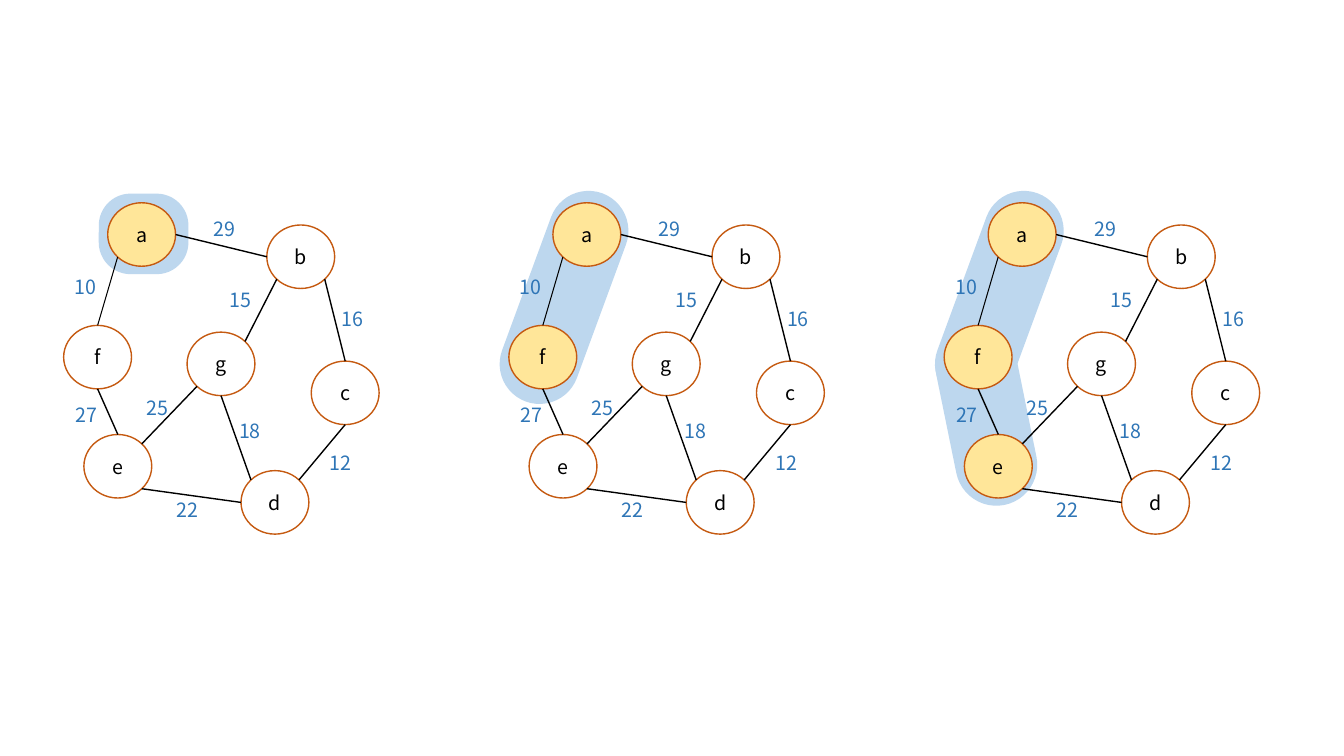
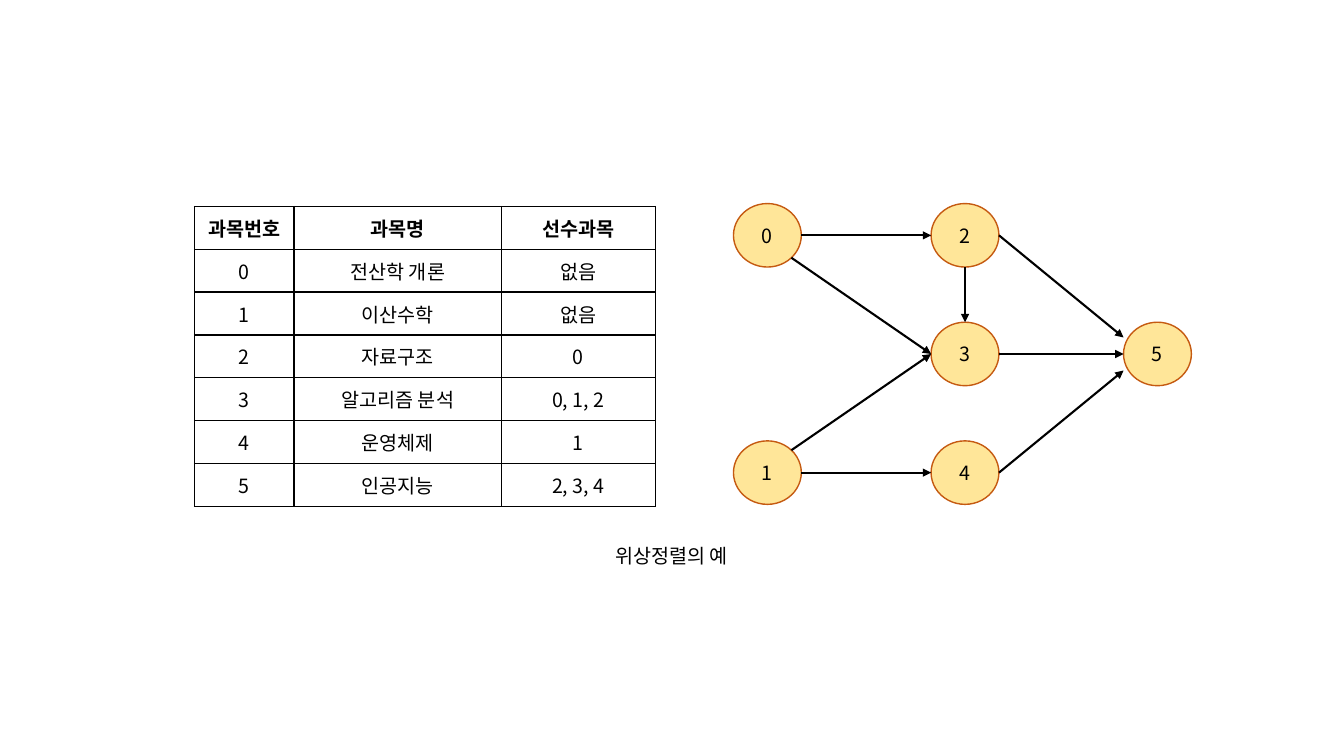
"""Build two slides on graphs: growing a spanning tree and topological sorting."""
from dataclasses import dataclass
from math import sqrt

from lxml import etree
from pptx import Presentation
from pptx.dml.color import RGBColor
from pptx.enum import shapes, text
from pptx.oxml import ns
from pptx.util import Cm, Pt


@dataclass(frozen=True)
class Theme:
    font: str = "Noto Sans CJK KR"
    size: Pt = Pt(14)
    ink: RGBColor = RGBColor(0x00, 0x00, 0x00)
    weight: RGBColor = RGBColor(0x2E, 0x75, 0xB6)
    ring: RGBColor = RGBColor(0xC5, 0x5A, 0x11)
    visited: RGBColor = RGBColor(0xFF, 0xE6, 0x99)
    region: RGBColor = RGBColor(0xBD, 0xD7, 0xEE)
    thin: Pt = Pt(0.75)
    line: Pt = Pt(1)
    arrow: Pt = Pt(1.5)


T = Theme()


def write(tf, content, color=T.ink, bold=False):
    p = tf.paragraphs[0]
    p.alignment = text.PP_ALIGN.CENTER
    r = p.add_run()
    r.text = content
    for name, value in {"name": T.font, "size": T.size, "bold": bold}.items():
        setattr(r.font, name, value)
    r.font.color.rgb = color
    etree.SubElement(r._r.get_or_add_rPr(), ns.qn("a:ea"), typeface=T.font)


def text_box(s, content, x, y, w, h, color=T.ink):
    tf = s.shapes.add_textbox(Cm(x), Cm(y), Cm(w), Cm(h)).text_frame
    tf.word_wrap = True
    tf.auto_size = text.MSO_AUTO_SIZE.SHAPE_TO_FIT_TEXT
    write(tf, content, color)


prs = Presentation()
prs.slide_width, prs.slide_height = Cm(33.87), Cm(19.05)
tree_slide, sort_slide = [prs.slides.add_slide(prs.slide_layouts[6]) for _ in range(2)]

NODE_W, NODE_H = 1.71, 1.6
LABEL_W, LABEL_H = 1.37, 0.86
DIAG = sqrt(0.5)
SITES = {
    "N": (0, -1), "S": (0, 1), "W": (-1, 0), "E": (1, 0),
    "NW": (-DIAG, -DIAG), "NE": (DIAG, -DIAG),
    "SW": (-DIAG, DIAG), "SE": (DIAG, DIAG),
    "W above": (-1, -0.52), "W below": (-1, 0.52),
}

tree_nodes = {
    "a": (3.57, 5.91), "b": (7.58, 6.47), "c": (8.7, 9.9), "d": (6.93, 12.66),
    "e": (2.97, 11.75), "f": (2.46, 9), "g": (5.57, 9.17),
}
tree_edges = [
    ("f", "N", "a", "SW", T.thin), ("g", "NE", "b", "SW", T.line),
    ("a", "E", "b", "W", T.line), ("e", "NE", "g", "SW", T.line),
    ("e", "N", "f", "S", T.line), ("d", "NW", "g", "S", T.line),
    ("d", "W", "e", "SE", T.line), ("c", "N", "b", "SE", T.line),
    ("d", "NE", "c", "S", T.line),
]
weights = [
    ("10", 2.16, 7.24), ("29", 5.66, 5.77), ("15", 6.07, 7.57),
    ("16", 8.89, 8.05), ("18", 6.3, 10.85), ("12", 8.59, 11.68),
    ("22", 4.72, 12.85), ("25", 3.96, 10.29), ("27", 2.18, 10.46),
]
region_a = (2.49, 4.88, 2.26, 2.03, 0, 0.395)
region_af = (1.99, 4.7, 2.01, 5.59, 20.2, 0.5)
region_fe = (1.64, 8.2, 2.06, 4.57, 348.5, 0.5)

cols, rows = (19.34, 24.32, 29.17), [5.93 + 2.99 * i for i in range(3)]
course_nodes = {
    "0": (cols[0], rows[0]), "1": (cols[0], rows[2]), "2": (cols[1], rows[0]),
    "3": (cols[1], rows[1]), "4": (cols[1], rows[2]), "5": (cols[2], rows[1]),
}
course_edges = [
    ("0", "E", "2", "W", T.arrow), ("0", "SE", "3", "W", T.arrow),
    ("1", "NE", "3", "W", T.arrow), ("1", "E", "4", "W", T.arrow),
    ("2", "S", "3", "N", T.arrow), ("2", "E", "5", "W above", T.arrow),
    ("4", "E", "5", "W below", T.arrow), ("3", "E", "5", "W", T.arrow),
]

graphs = [
    (tree_slide, 0, tree_nodes, "a", tree_edges, weights, [region_a], False),
    (tree_slide, 11.22, tree_nodes, "af", tree_edges, weights, [region_af], False),
    (tree_slide, 22.19, tree_nodes, "afe", tree_edges, weights, [region_fe, region_af], False),
    (sort_slide, 0, course_nodes, "012345", course_edges, [], [], True),
]

for s, dx, nodes, visited, edges, labels, regions, directed in graphs:
    for x, y, w, h, angle, corner in regions:
        sp = s.shapes.add_shape(shapes.MSO_SHAPE.ROUNDED_RECTANGLE, Cm(dx + x), Cm(y), Cm(w), Cm(h))
        sp.adjustments[0] = corner
        sp.rotation = angle
        sp.shadow.inherit = False
        sp.fill.solid()
        sp.fill.fore_color.rgb = T.region
        sp.line.fill.background()

    for name, (x, y) in nodes.items():
        sp = s.shapes.add_shape(shapes.MSO_SHAPE.OVAL, Cm(dx + x - NODE_W / 2), Cm(y - NODE_H / 2),
                                Cm(NODE_W), Cm(NODE_H))
        sp.shadow.inherit = False
        if name in visited:
            sp.fill.solid()
            sp.fill.fore_color.rgb = T.visited
        else:
            sp.fill.background()
        sp.line.color.rgb = T.ring
        sp.line.width = T.line
        sp.text_frame.vertical_anchor = text.MSO_ANCHOR.MIDDLE
        write(sp.text_frame, name)

    for start, start_site, end, end_site, width in edges:
        ends = []
        for name, site in ((start, start_site), (end, end_site)):
            (x, y), (sx, sy) = nodes[name], SITES[site]
            ends += [Cm(dx + x + sx * NODE_W / 2), Cm(y + sy * NODE_H / 2)]
        edge = s.shapes.add_connector(shapes.MSO_CONNECTOR.STRAIGHT, *ends)
        edge.line.color.rgb = T.ink
        edge.line.width = width
        if directed:
            etree.SubElement(edge.line._get_or_add_ln(), ns.qn("a:tailEnd"), type="triangle")
        etree.SubElement(edge._element.spPr, ns.qn("a:effectLst"))

    for content, x, y in labels:
        text_box(s, content, dx + x - LABEL_W / 2, y - LABEL_H / 2, LABEL_W, LABEL_H, T.weight)

courses = [
    ("과목번호", "과목명", "선수과목"),
    ("0", "전산학 개론", "없음"),
    ("1", "이산수학", "없음"),
    ("2", "자료구조", "0"),
    ("3", "알고리즘 분석", "0, 1, 2"),
    ("4", "운영체제", "1"),
    ("5", "인공지능", "2, 3, 4"),
]
col_widths, row_height = (2.51, 5.23, 3.87), 1.08
table = sort_slide.shapes.add_table(len(courses), len(col_widths), Cm(4.9), Cm(5.2),
                                    Cm(sum(col_widths)), Cm(row_height * len(courses))).table
table.first_row = table.horz_banding = False
for col, width in zip(table.columns, col_widths):
    col.width = Cm(width)
for i, course in enumerate(courses):
    table.rows[i].height = Cm(row_height)
    for j, content in enumerate(course):
        cell = table.cell(i, j)
        cell.vertical_anchor = text.MSO_ANCHOR.MIDDLE
        write(cell.text_frame, content, bold=i == 0)
        tc_pr = cell._tc.get_or_add_tcPr()
        for side in ("lnL", "lnR", "lnT", "lnB"):
            ln = etree.SubElement(tc_pr, ns.qn(f"a:{side}"), w=str(T.line))
            fill = etree.SubElement(ln, ns.qn("a:solidFill"))
            etree.SubElement(fill, ns.qn("a:srgbClr"), val=str(T.ink))
        cell.fill.background()

text_box(sort_slide, "위상정렬의 예", 9.7, 13.59, 14.45, LABEL_H)

prs.save("out.pptx")
